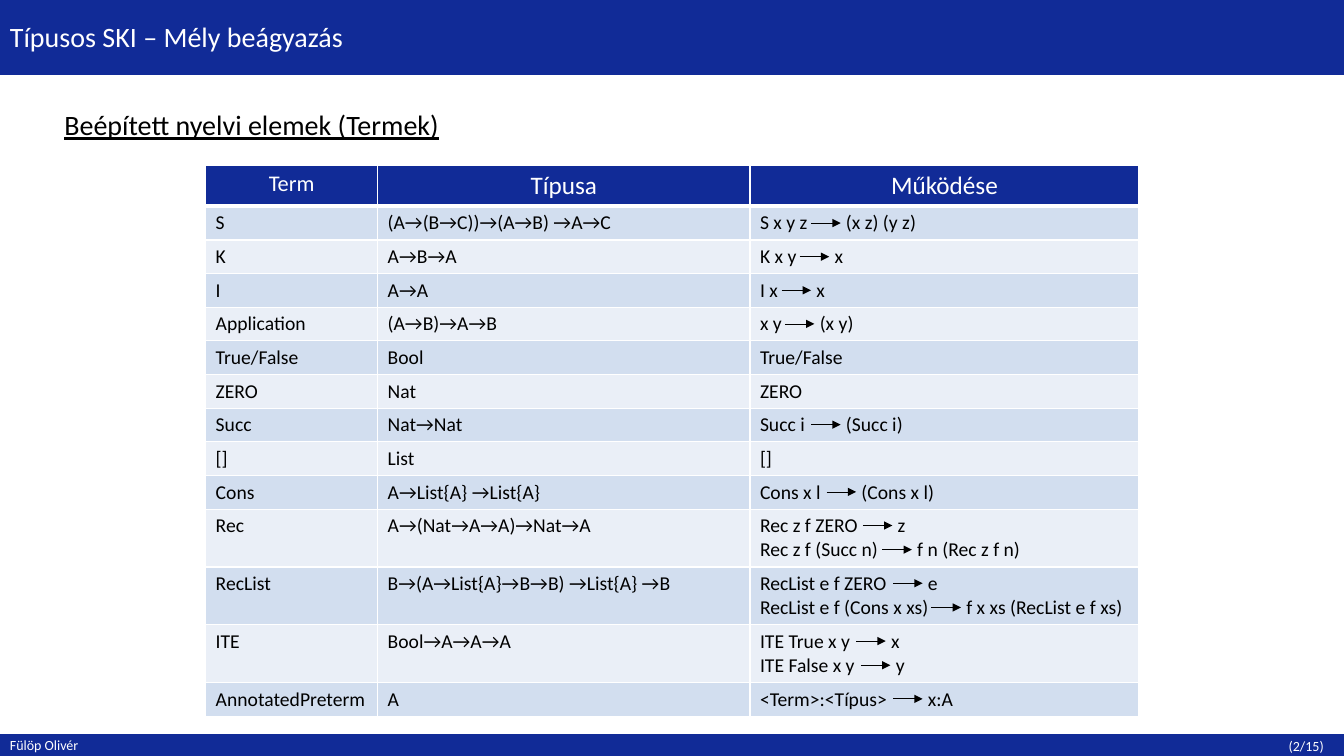
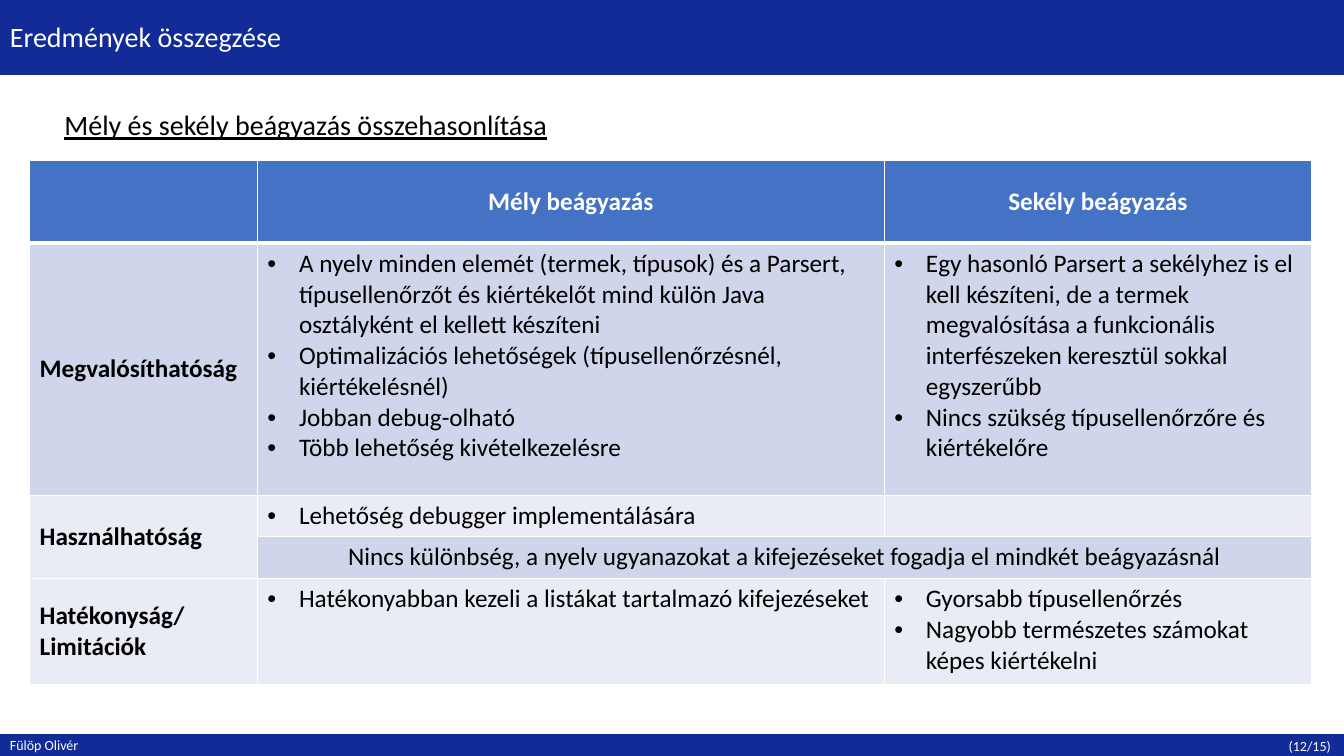
from lxml.etree import SubElement
from pptx import Presentation
from pptx.dml.color import RGBColor
from pptx.enum.shapes import MSO_CONNECTOR, MSO_SHAPE
from pptx.enum.text import MSO_ANCHOR, MSO_AUTO_SIZE, PP_ALIGN
from pptx.oxml.ns import qn
from pptx.util import Pt

SCALE = 6096  # EMU per px, 150 px to the inch
SLIDE_WIDTH, SLIDE_HEIGHT = 2000, 1125
FONT = "Calibri"
NAVY, BLUE, WHITE, BLACK = "112B97", "4472C4", "FFFFFF", "000000"
CELL_MARGIN = 15
ARROW_LENGTH, ARROW_GAP = 44, 8
BULLET_INDENT = 47


def px(length):
    return length * SCALE


def color(value):
    return RGBColor.from_string(value)


class Deck:
    """Holds the shared style and the slide being filled."""

    def __init__(self):
        self.presentation = Presentation()
        self.presentation.slide_width = px(SLIDE_WIDTH)
        self.presentation.slide_height = px(SLIDE_HEIGHT)
        self.slide = None

    def add_slide(self, title, heading, page):
        """Start a slide with its bands, title, heading and footer."""
        layout = self.presentation.slide_layouts[6]
        self.slide = self.presentation.slides.add_slide(layout)
        self.band(0, 111)
        self.text(0, 22, 800, 66, title, 20, WHITE)
        self.text(81, 153, 886, 66, heading, 20, BLACK, underline=True)
        self.band(1093, 32)
        self.text(0, 1089, 162, 40, "Fülöp Olivér", 10, WHITE)
        self.text(1903, 1090, 97, 40, f"({page}/15)", 10, WHITE)

    def band(self, top, height):
        shape = self.slide.shapes.add_shape(
            MSO_SHAPE.RECTANGLE, 0, px(top), px(SLIDE_WIDTH), px(height))
        shape.shadow.inherit = False
        shape.fill.solid()
        shape.fill.fore_color.rgb = color(NAVY)
        shape.line.color.rgb = color(NAVY)
        shape.line.width = Pt(1)

    def run(self, paragraph, text, size, ink, bold=False, underline=False):
        run = paragraph.add_run()
        run.text = text
        font = run.font
        font.name, font.size = FONT, Pt(size)
        font.bold, font.underline = bold, underline
        font.color.rgb = color(ink)

    def text(self, left, top, width, height, text, size, ink, underline=False):
        box = self.slide.shapes.add_textbox(px(left), px(top), px(width), px(height))
        frame = box.text_frame
        frame.word_wrap = True
        frame.auto_size = MSO_AUTO_SIZE.SHAPE_TO_FIT_TEXT
        self.run(frame.paragraphs[0], text, size, ink, underline=underline)

    def arrow(self, left, top):
        connector = self.slide.shapes.add_connector(
            MSO_CONNECTOR.STRAIGHT, px(left), px(top), px(left + ARROW_LENGTH), px(top))
        connector.line.color.rgb = color(BLACK)
        connector.line.width = Pt(0.5)
        properties = connector._element.spPr
        SubElement(properties.find(qn("a:ln")), qn("a:tailEnd"), type="triangle")
        SubElement(properties, qn("a:effectLst"))

    def table(self, left, top, widths, heights):
        """Add a table whose grid is white, heavier below the header row."""
        frame = self.slide.shapes.add_table(
            len(heights), len(widths), px(left), px(top), px(sum(widths)), px(sum(heights)))
        table = frame.table
        for column, width in zip(table.columns, widths):
            column.width = px(width)
        for index, (row, height) in enumerate(zip(table.rows, heights)):
            row.height = px(height)
            for cell in row.cells:
                self.borders(cell, 3 if index == 1 else 1, 3 if index == 0 else 1)
        return table

    def borders(self, cell, top_width, bottom_width):
        properties = cell._tc.get_or_add_tcPr()
        sides = {"L": 1, "R": 1, "T": top_width, "B": bottom_width}
        for side, width in sides.items():
            line = SubElement(properties, qn(f"a:ln{side}"), w=str(Pt(width)))
            fill = SubElement(line, qn("a:solidFill"))
            SubElement(fill, qn("a:srgbClr"), val=WHITE)

    def cell(self, cell, lines, fill, size=18, ink=BLACK, bold=False,
             centered=False, middle=False, bullets=False):
        """Fill a cell and return its paragraphs, one for each line."""
        cell.fill.solid()
        cell.fill.fore_color.rgb = color(fill)
        cell.vertical_anchor = MSO_ANCHOR.MIDDLE if middle else MSO_ANCHOR.TOP
        frame = cell.text_frame
        for line in lines:
            first = line is lines[0]
            paragraph = frame.paragraphs[0] if first else frame.add_paragraph()
            paragraph.alignment = PP_ALIGN.CENTER if centered else PP_ALIGN.LEFT
            if bullets:
                self.bullet(paragraph)
            self.run(paragraph, line, size, ink, bold)
        return frame.paragraphs

    def bullet(self, paragraph):
        properties = paragraph._p.get_or_add_pPr()
        properties.set("marL", str(px(BULLET_INDENT)))
        properties.set("indent", str(-px(BULLET_INDENT)))
        SubElement(properties, qn("a:buFont"), typeface="Arial")
        SubElement(properties, qn("a:buChar"), char="•")

    def tab_stop(self, paragraph, position):
        tabs = SubElement(paragraph._p.get_or_add_pPr(), qn("a:tabLst"))
        SubElement(tabs, qn("a:tab"), pos=str(px(position)), algn="l")


# Each reduction is (expression, left of its arrow, result).
TERMS = [
    ("S", "(A→(B→C))→(A→B) →A→C", [("S x y z", 1207, "(x z) (y z)")]),
    ("K", "A→B→A", [("K x y", 1190, "x")]),
    ("I", "A→A", [("I x", 1163, "x")]),
    ("Application", "(A→B)→A→B", [("x y", 1168, "(x y)")]),
    ("True/False", "Bool", ["True/False"]),
    ("ZERO", "Nat", ["ZERO"]),
    ("Succ", "Nat→Nat", [("Succ i", 1207, "(Succ i)")]),
    ("[]", "List", ["[]"]),
    ("Cons", "A→List{A} →List{A}", [("Cons x l", 1230, "(Cons x l)")]),
    ("Rec", "A→(Nat→A→A)→Nat→A", [
        ("Rec z f ZERO", 1284, "z"),
        ("Rec z f (Succ n)", 1313, "f n (Rec z f n)")]),
    ("RecList", "B→(A→List{A}→B→B) →List{A} →B", [
        ("RecList e f ZERO", 1329, "e"),
        ("RecList e f (Cons x xs)", 1386, "f x xs (RecList e f xs)")]),
    ("ITE", "Bool→A→A→A", [
        ("ITE True x y", 1274, "x"),
        ("ITE False x y", 1281, "y")]),
    ("AnnotatedPreterm", "A", [("<Term>:<Típus>", 1329, "x:A")]),
]


def add_terms_slide(deck):
    deck.add_slide("Típusos SKI – Mély beágyazás", "Beépített nyelvi elemek (Termek)", 2)
    left, top, widths = 306, 246, [256, 554, 579]
    header_height, line_height, first_line = 61, 36, 25
    heights = [header_height] + [14 + line_height * len(term[2]) for term in TERMS]
    table = deck.table(left, top, widths, heights)
    for column, (label, size) in enumerate([("Term", 16), ("Típusa", 18), ("Működése", 18)]):
        deck.cell(table.cell(0, column), [label], NAVY, size, WHITE, centered=True)

    text_left = left + sum(widths[:2]) + CELL_MARGIN
    for row, (term, kind, reductions) in enumerate(TERMS, 1):
        fill = "D2DEEF" if row % 2 else "EAEFF7"
        deck.cell(table.cell(row, 0), [term], fill, 14)
        deck.cell(table.cell(row, 1), [kind], fill, 14)
        lines = [item if isinstance(item, str) else f"{item[0]}\t{item[2]}"
                 for item in reductions]
        paragraphs = deck.cell(table.cell(row, 2), lines, fill, 14)
        row_top = top + sum(heights[:row])
        for index, (item, paragraph) in enumerate(zip(reductions, paragraphs)):
            if isinstance(item, tuple):
                arrow_left = item[1]
                deck.tab_stop(paragraph, arrow_left + ARROW_LENGTH + ARROW_GAP - text_left)
                deck.arrow(arrow_left, row_top + first_line + index * line_height)


def add_results_slide(deck):
    deck.add_slide("Eredmények összegzése", "Mély és sekély beágyazás összehasonlítása", 12)
    table = deck.table(44, 239, [339, 933, 636], [123, 375, 61, 63, 158])
    dark, light = "CFD5EA", "E9EBF5"
    for column, lines in enumerate([[], ["Mély beágyazás"], ["Sekély beágyazás"]]):
        deck.cell(table.cell(0, column), lines, BLUE, ink=WHITE, bold=True,
                  centered=True, middle=True)

    table.cell(2, 0).merge(table.cell(3, 0))
    table.cell(3, 1).merge(table.cell(3, 2))
    comparison = [
        (1, dark, "Megvalósíthatóság", [
            "A nyelv minden elemét (termek, típusok) és a Parsert, típusellenőrzőt "
            "és kiértékelőt mind külön Java osztályként el kellett készíteni",
            "Optimalizációs lehetőségek (típusellenőrzésnél, kiértékelésnél)",
            "Jobban debug-olható",
            "Több lehetőség kivételkezelésre",
        ], [
            "Egy hasonló Parsert a sekélyhez is el kell készíteni, de a termek "
            "megvalósítása a funkcionális interfészeken keresztül sokkal egyszerűbb",
            "Nincs szükség típusellenőrzőre és kiértékelőre",
        ]),
        (2, light, "Használhatóság", ["Lehetőség debugger implementálására"], []),
        (4, light, "Hatékonyság/ Limitációk",
         ["Hatékonyabban kezeli a listákat tartalmazó kifejezéseket"],
         ["Gyorsabb típusellenőrzés", "Nagyobb természetes számokat képes kiértékelni"]),
    ]
    for row, fill, aspect, deep, shallow in comparison:
        deck.cell(table.cell(row, 0), [aspect], fill, bold=True, middle=True)
        deck.cell(table.cell(row, 1), deep, fill, bullets=True)
        deck.cell(table.cell(row, 2), shallow, fill, bullets=True)
    deck.cell(table.cell(3, 1),
              ["Nincs különbség, a nyelv ugyanazokat a kifejezéseket fogadja el "
               "mindkét beágyazásnál"], dark, centered=True)


def main():
    deck = Deck()
    add_terms_slide(deck)
    add_results_slide(deck)
    deck.presentation.save("out.pptx")


if __name__ == "__main__":
    main()
